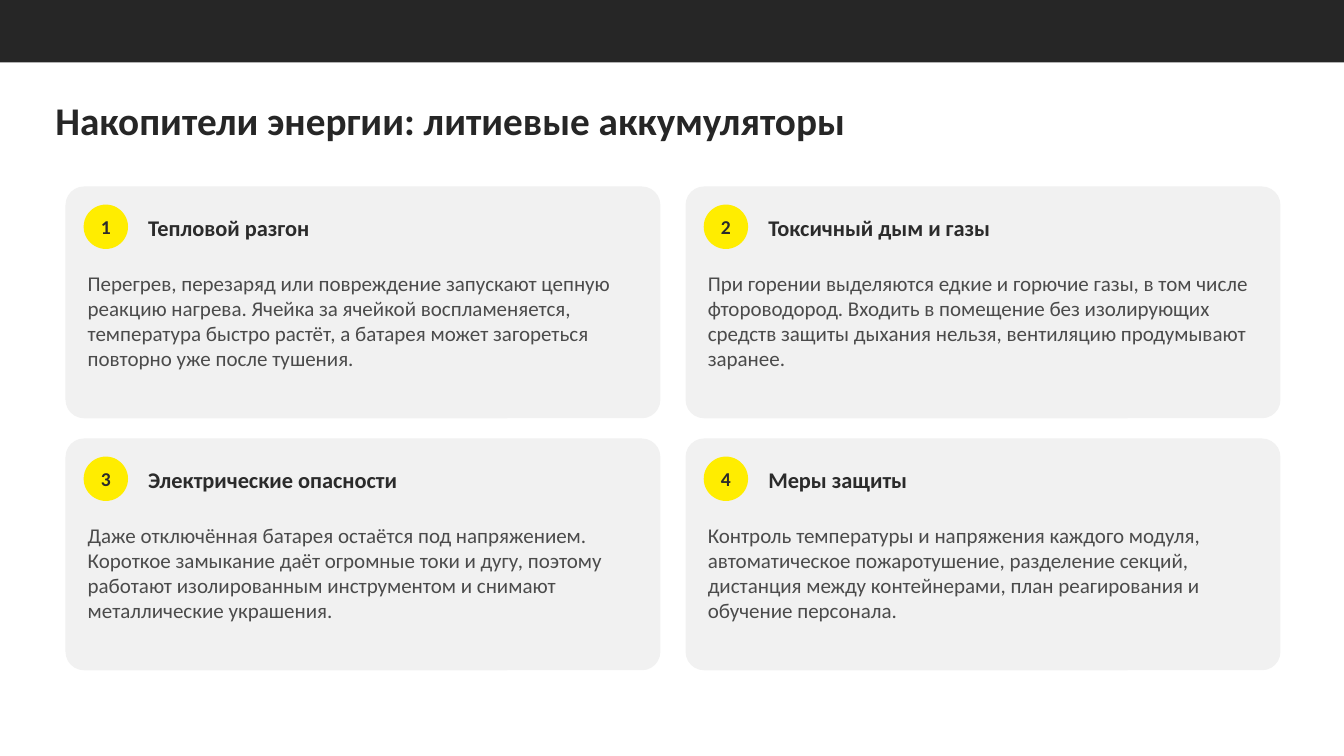
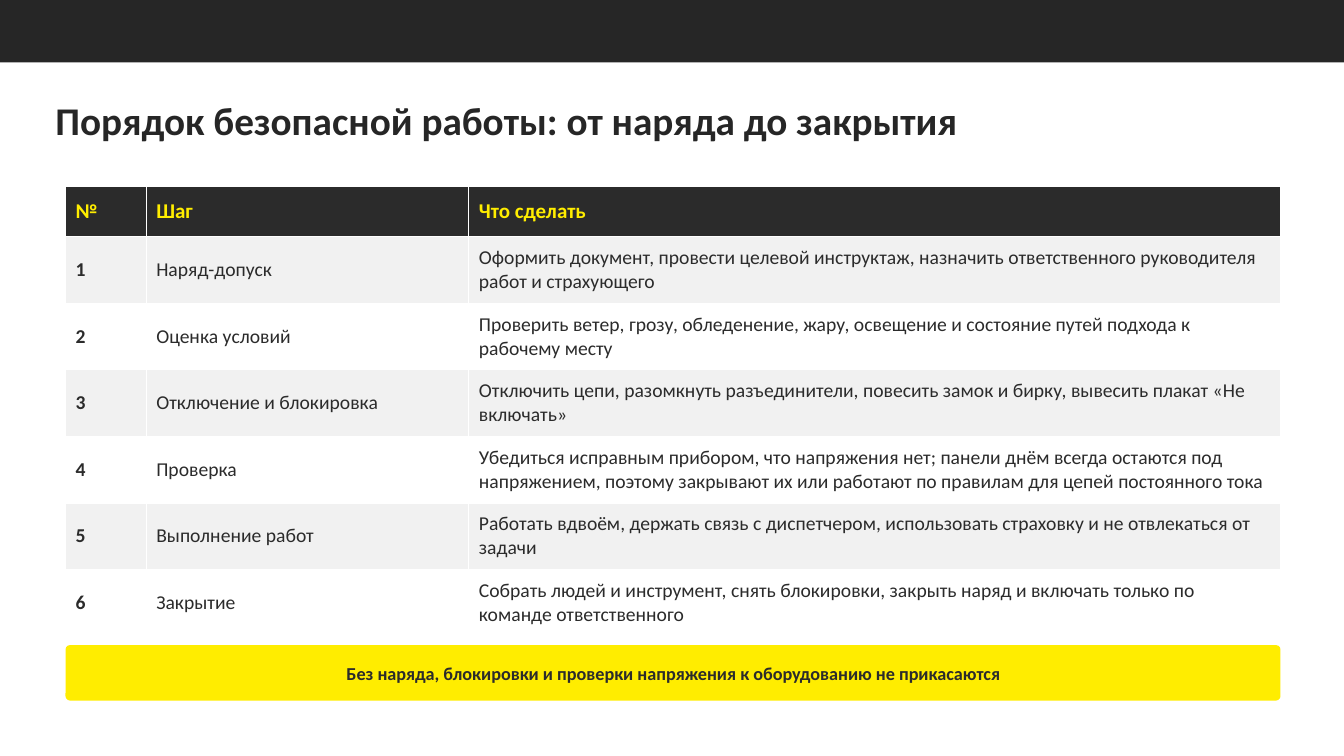
from dataclasses import dataclass

from pptx import Presentation
from pptx import util as u
from pptx.dml.color import RGBColor
from pptx.enum import shapes, text


@dataclass(frozen=True)
class Theme:
    font: str = "Calibri"
    band: str = "262626"
    ink: str = "2B2B2B"
    soft: str = "4B4B4B"
    accent: str = "FFED00"
    panel: str = "F1F1F1"
    white: str = "FFFFFF"
    title: int = 28
    head: int = 16
    body: int = 15
    cell: int = 14
    note: int = 13


T = Theme()
KIND = shapes.MSO_SHAPE
MID = text.MSO_ANCHOR.MIDDLE
TOP = text.MSO_ANCHOR.TOP
LEFT = text.PP_ALIGN.LEFT
MAIN = text.PP_ALIGN.CENTER
WIDE, HIGH = 13.33, 7.5
EDGE, START, SPAN = 0.65, 1.85, 12.05

CARDS = [
    ("Тепловой разгон",
     "Перегрев, перезаряд или повреждение запускают цепную реакцию нагрева. "
     "Ячейка за ячейкой воспламеняется, температура быстро растёт, а батарея "
     "может загореться повторно уже после тушения."),
    ("Токсичный дым и газы",
     "При горении выделяются едкие и горючие газы, в том числе фтороводород. "
     "Входить в помещение без изолирующих средств защиты дыхания нельзя, "
     "вентиляцию продумывают заранее."),
    ("Электрические опасности",
     "Даже отключённая батарея остаётся под напряжением. Короткое замыкание "
     "даёт огромные токи и дугу, поэтому работают изолированным инструментом "
     "и снимают металлические украшения."),
    ("Меры защиты",
     "Контроль температуры и напряжения каждого модуля, автоматическое "
     "пожаротушение, разделение секций, дистанция между контейнерами, план "
     "реагирования и обучение персонала."),
]

HEADS = ("№", "Шаг", "Что сделать")
STEPS = [
    ("Наряд-допуск",
     "Оформить документ, провести целевой инструктаж, назначить "
     "ответственного руководителя работ и страхующего"),
    ("Оценка условий",
     "Проверить ветер, грозу, обледенение, жару, освещение и состояние "
     "путей подхода к рабочему месту"),
    ("Отключение и блокировка",
     "Отключить цепи, разомкнуть разъединители, повесить замок и бирку, "
     "вывесить плакат «Не включать»"),
    ("Проверка",
     "Убедиться исправным прибором, что напряжения нет; панели днём всегда "
     "остаются под напряжением, поэтому закрывают их или работают по "
     "правилам для цепей постоянного тока"),
    ("Выполнение работ",
     "Работать вдвоём, держать связь с диспетчером, использовать страховку "
     "и не отвлекаться от задачи"),
    ("Закрытие",
     "Собрать людей и инструмент, снять блокировки, закрыть наряд и включать "
     "только по команде ответственного"),
]


def apply(item, values):
    for name, value in values.items():
        setattr(item, name, value)


def inches(*values):
    return [u.Inches(v) for v in values]


def paint(item, color):
    item.fill.solid()
    item.fill.fore_color.rgb = RGBColor.from_string(color)


def write(frame, words, size, color, bold=False, align=LEFT):
    frame.text = words
    para = frame.paragraphs[0]
    para.alignment = align
    apply(para.font, {"name": T.font, "size": u.Pt(size), "bold": bold})
    para.font.color.rgb = RGBColor.from_string(color)
    return para


def pad(frame, side, anchor=MID):
    apply(frame, {
        "word_wrap": True,
        "vertical_anchor": anchor,
        "margin_left": u.Inches(side),
        "margin_right": u.Inches(side),
        "margin_top": u.Inches(0.03),
        "margin_bottom": u.Inches(0.03),
    })


def block(slide, kind, box, color):
    shape = slide.shapes.add_shape(kind, *inches(*box))
    shape.shadow.inherit = False
    paint(shape, color)
    shape.line.fill.background()
    if kind == KIND.ROUNDED_RECTANGLE:
        shape.adjustments[0] = 0.08
    return shape


def label(slide, box, words, size, color, bold=False, anchor=TOP):
    frame = slide.shapes.add_textbox(*inches(*box)).text_frame
    pad(frame, 0.02, anchor)
    frame.auto_size = text.MSO_AUTO_SIZE.SHAPE_TO_FIT_TEXT
    write(frame, words, size, color, bold)


def page(deck, words):
    slide = deck.slides.add_slide(deck.slide_layouts.get_by_name("Title Only"))
    title = slide.shapes.title
    spot = inches(0.45, 0.84, 11.5, 0.75)
    apply(title, dict(zip(("left", "top", "width", "height"), spot)))
    frame = title.text_frame
    apply(frame, {"vertical_anchor": MID, "word_wrap": True,
                  "auto_size": text.MSO_AUTO_SIZE.NONE})
    write(frame, words, T.title, T.band, True).line_spacing = 0.9
    block(slide, KIND.RECTANGLE, (0, 0, WIDE, 0.62), T.band)
    return slide


def card(slide, left, top, num, head, body):
    block(slide, KIND.ROUNDED_RECTANGLE, (left, top, 5.9, 2.3), T.panel)
    badge = block(slide, KIND.OVAL,
                  (left + 0.18, top + 0.18, 0.44, 0.44), T.accent)
    pad(badge.text_frame, 0)
    write(badge.text_frame, str(num), T.cell, T.ink, True, MAIN)
    label(slide, (left + 0.8, top + 0.18, 4.9, 0.45),
          head, T.head, T.ink, True, MID)
    label(slide, (left + 0.2, top + 0.8, 5.5, 1.45), body, T.body, T.soft)


def cards(slide):
    for i, (head, body) in enumerate(CARDS):
        row, col = divmod(i, 2)
        card(slide, EDGE + col * 6.15, START + row * 2.5, i + 1, head, body)


def grid(slide):
    rows = [HEADS] + [(str(i), *step) for i, step in enumerate(STEPS, 1)]
    highs = [0.5] + [0.66] * len(STEPS)
    box = inches(EDGE, START, SPAN, sum(highs))
    table = slide.shapes.add_table(len(rows), len(HEADS), *box).table
    for col, width in zip(table.columns, (0.8, 3.2, 8.05)):
        col.width = u.Inches(width)
    for r, (row, high) in enumerate(zip(rows, highs)):
        table.rows[r].height = u.Inches(high)
        top = r == 0
        fill = T.ink if top else T.panel if r % 2 else T.white
        size, color = (T.body, T.accent) if top else (T.cell, T.ink)
        for c, words in enumerate(row):
            cell = table.cell(r, c)
            cell.vertical_anchor = MID
            paint(cell, fill)
            write(cell.text_frame, words, size, color, top or c == 0)


def note(slide, words):
    shape = block(slide, KIND.ROUNDED_RECTANGLE,
                  (EDGE, 6.4, SPAN, 0.55), T.accent)
    pad(shape.text_frame, 0.12)
    write(shape.text_frame, words, T.note, T.ink, True, MAIN)


def main():
    deck = Presentation()
    apply(deck, {"slide_width": u.Inches(WIDE), "slide_height": u.Inches(HIGH)})
    cards(page(deck, "Накопители энергии: литиевые аккумуляторы"))
    slide = page(deck, "Порядок безопасной работы: от наряда до закрытия")
    grid(slide)
    note(slide, "Без наряда, блокировки и проверки напряжения "
                "к оборудованию не прикасаются")
    deck.save("out.pptx")


if __name__ == "__main__":
    main()
